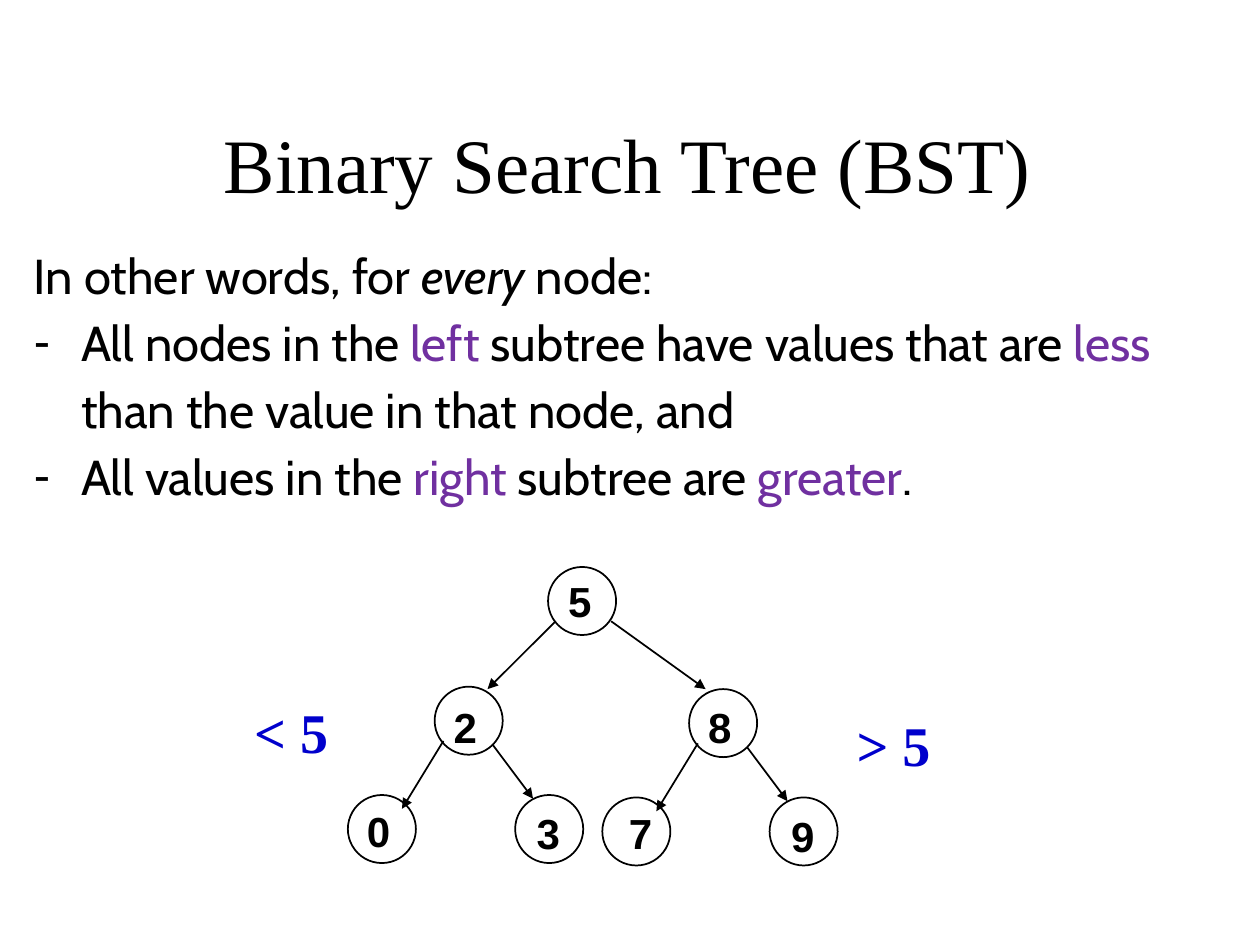
from lxml.etree import SubElement
from pptx import Presentation
from pptx.dml.color import RGBColor
from pptx.enum.shapes import MSO_CONNECTOR, MSO_SHAPE
from pptx.enum.text import MSO_ANCHOR, MSO_AUTO_SIZE, PP_ALIGN
from pptx.oxml.ns import qn
from pptx.util import Pt

BLACK = RGBColor(0x00, 0x00, 0x00)
PURPLE = RGBColor(0x70, 0x30, 0xA0)
BLUE = RGBColor(0x00, 0x00, 0xCC)

SERIF, SANS, BODY = "Times New Roman", "Arial", "Cabin"
NODE_SIZE = 38.9

PLAIN, ITALIC, ACCENT = "plain", "italic", "accent"
INTRO = [("In other words, for ", PLAIN), ("every", ITALIC), (" node:", PLAIN)]
RULES = [
    [("All nodes in the ", PLAIN), ("left", ACCENT),
     (" subtree have values that are ", PLAIN), ("less", ACCENT),
     (" than the value in that node, and", PLAIN)],
    [("All values in the ", PLAIN), ("right", ACCENT),
     (" subtree are ", PLAIN), ("greater", ACCENT), (".", PLAIN)],
]


class TreeSlide:
    """Holds the current slide and draws its elements in one style."""

    def __init__(self, slide):
        self.slide = slide

    def style(self, font, name, size, color, bold=None):
        font.name, font.size, font.bold = name, Pt(size), bold
        font.color.rgb = color

    def place(self, placeholder, left, top, width, height):
        placeholder.left, placeholder.top = Pt(left), Pt(top)
        placeholder.width, placeholder.height = Pt(width), Pt(height)
        frame = placeholder.text_frame
        frame.auto_size = MSO_AUTO_SIZE.NONE
        frame.margin_left, frame.margin_right = Pt(7.2), Pt(10.1)
        frame.margin_top = frame.margin_bottom = Pt(3.6)
        return frame

    def title(self, text):
        frame = self.place(self.slide.shapes.title, 54, 48.2, 612, 90)
        frame.text = text
        frame.vertical_anchor = MSO_ANCHOR.MIDDLE
        heading = frame.paragraphs[0]
        heading.alignment = PP_ALIGN.CENTER
        self.style(heading.runs[0].font, SERIF, 44, BLACK)

    def body(self, intro, rules):
        frame = self.place(self.slide.placeholders[1], 12.2, 131.8, 678.2, 157)
        self.body_line(frame.paragraphs[0], intro)
        for rule in rules:
            self.body_line(frame.add_paragraph(), rule, bullet="-", indent=27)

    def body_line(self, paragraph, pieces, bullet=None, indent=0):
        properties = paragraph._p.get_or_add_pPr()
        properties.set("marL", str(Pt(indent)))
        properties.set("indent", str(-Pt(indent)))
        if bullet:
            SubElement(properties, qn("a:buChar")).set("char", bullet)
        else:
            SubElement(properties, qn("a:buNone"))
        paragraph.line_spacing = 1.14
        paragraph.space_before = Pt(0)
        for text, kind in pieces:
            run = paragraph.add_run()
            run.text = text
            self.style(run.font, BODY, 28, PURPLE if kind == ACCENT else BLACK)
            if kind == ITALIC:
                run.font.italic = True

    def text(self, text, left, top, width, height, name, size, color):
        box = self.slide.shapes.add_textbox(Pt(left), Pt(top), Pt(width), Pt(height))
        frame = box.text_frame
        frame.text = text
        frame.word_wrap = False
        frame.auto_size = MSO_AUTO_SIZE.SHAPE_TO_FIT_TEXT
        self.style(frame.paragraphs[0].runs[0].font, name, size, color, bold=True)
        return frame

    def bound(self, text, left, top):
        self.text(text, left, top, 56.9, 46.1, SERIF, 32, BLUE)

    def node(self, value, left, top, dx, dy):
        """Draw a circle with its value offset by dx, dy from its corner."""
        circle = self.slide.shapes.add_shape(
            MSO_SHAPE.OVAL, Pt(left), Pt(top), Pt(NODE_SIZE), Pt(NODE_SIZE))
        circle.shadow.inherit = False
        circle.fill.background()
        circle.line.color.rgb = BLACK
        circle.line.width = Pt(1)
        frame = self.text(value, left + dx, top + dy, 20.2, 28.8, SANS, 24, BLACK)
        frame.margin_left = frame.margin_top = frame.margin_bottom = 0
        frame.margin_right = Pt(2.9)
        frame.paragraphs[0]._p.get_or_add_pPr().set("marL", str(Pt(2.9)))

    def edge(self, x1, y1, x2, y2):
        arrow = self.slide.shapes.add_connector(
            MSO_CONNECTOR.STRAIGHT, Pt(x1), Pt(y1), Pt(x2), Pt(y2))
        arrow.line.color.rgb = BLACK
        arrow.line.width = Pt(1)
        SubElement(arrow.line._get_or_add_ln(), qn("a:tailEnd")).set("type", "triangle")
        SubElement(arrow._element.spPr, qn("a:effectLst"))

    def subtree(self, left, top, parent, smaller, larger):
        """Draw a parent and two children; each is (value, dx, dy)."""
        self.node(parent[0], left, top, *parent[1:])
        self.node(smaller[0], left - 49.6, top + 61.9, *smaller[1:])
        self.node(larger[0], left + 46, top + 61.9, *larger[1:])
        self.edge(left + 5, top + 31, left - 18.7, top + 69.8)
        self.edge(left + 33, top + 33, left + 56.2, top + 64)


def main():
    deck = Presentation()
    deck.slide_width, deck.slide_height = Pt(720), Pt(540)
    tree = TreeSlide(deck.slides.add_slide(deck.slide_layouts[1]))

    tree.title("Binary Search Tree (BST)")
    tree.body(INTRO, RULES)

    tree.bound("> 5", 482.4, 402.5)
    tree.bound("< 5", 138.2, 395.3)

    tree.subtree(248.4, 392.4, ("2", 7.9, 8.6), ("0", 7.9, 5.8), ("3", 9.4, 7.2))
    tree.subtree(393.8, 393.8, ("8", 7.9, 7.2), ("7", 12.2, 5.8), ("9", 9.4, 7.2))
    tree.node("5", 313.2, 324, 8.6, 5)
    tree.edge(317.5, 355, 278.6, 393.8)
    tree.edge(349.2, 355, 403.2, 393.8)

    deck.save("out.pptx")


if __name__ == "__main__":
    main()
